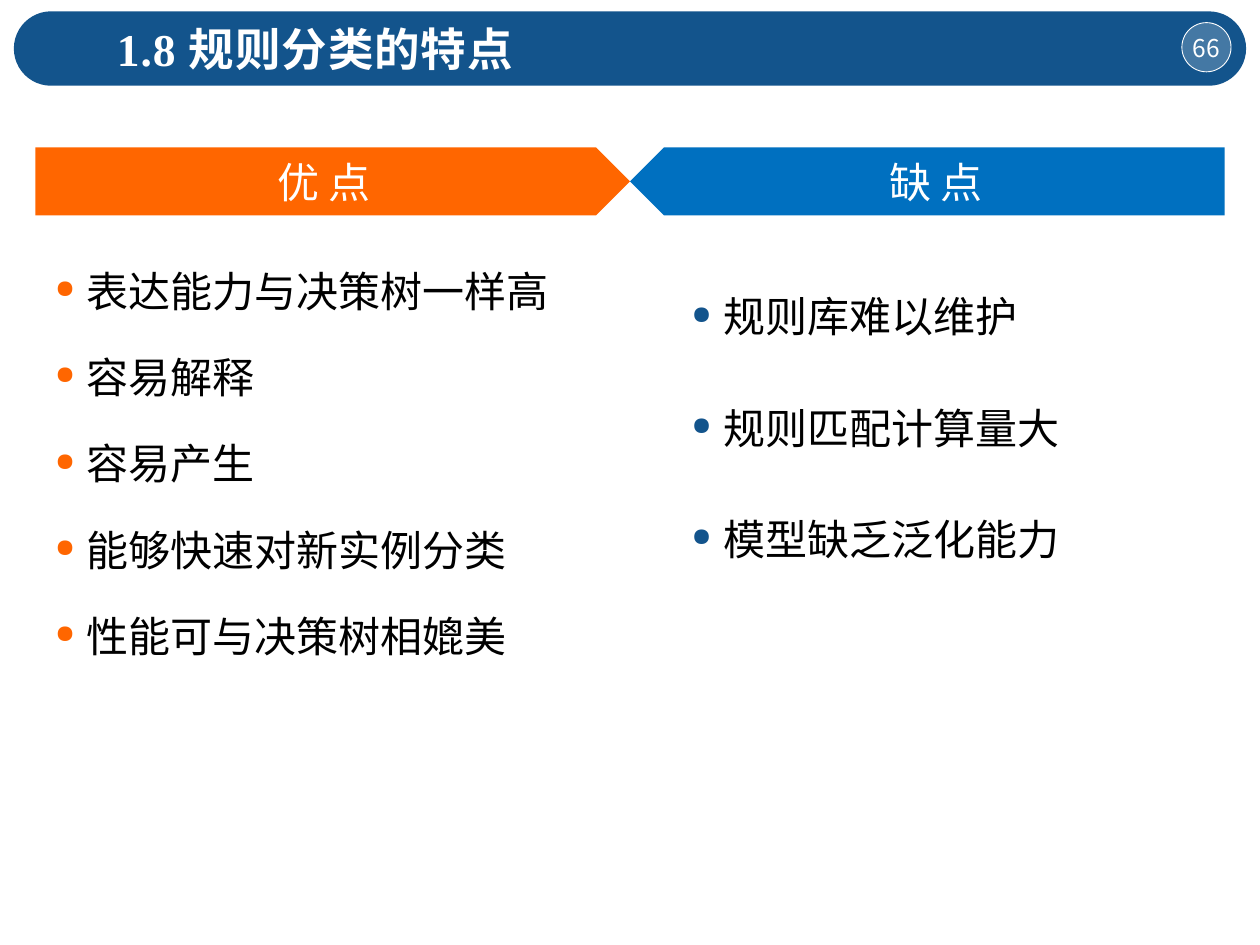
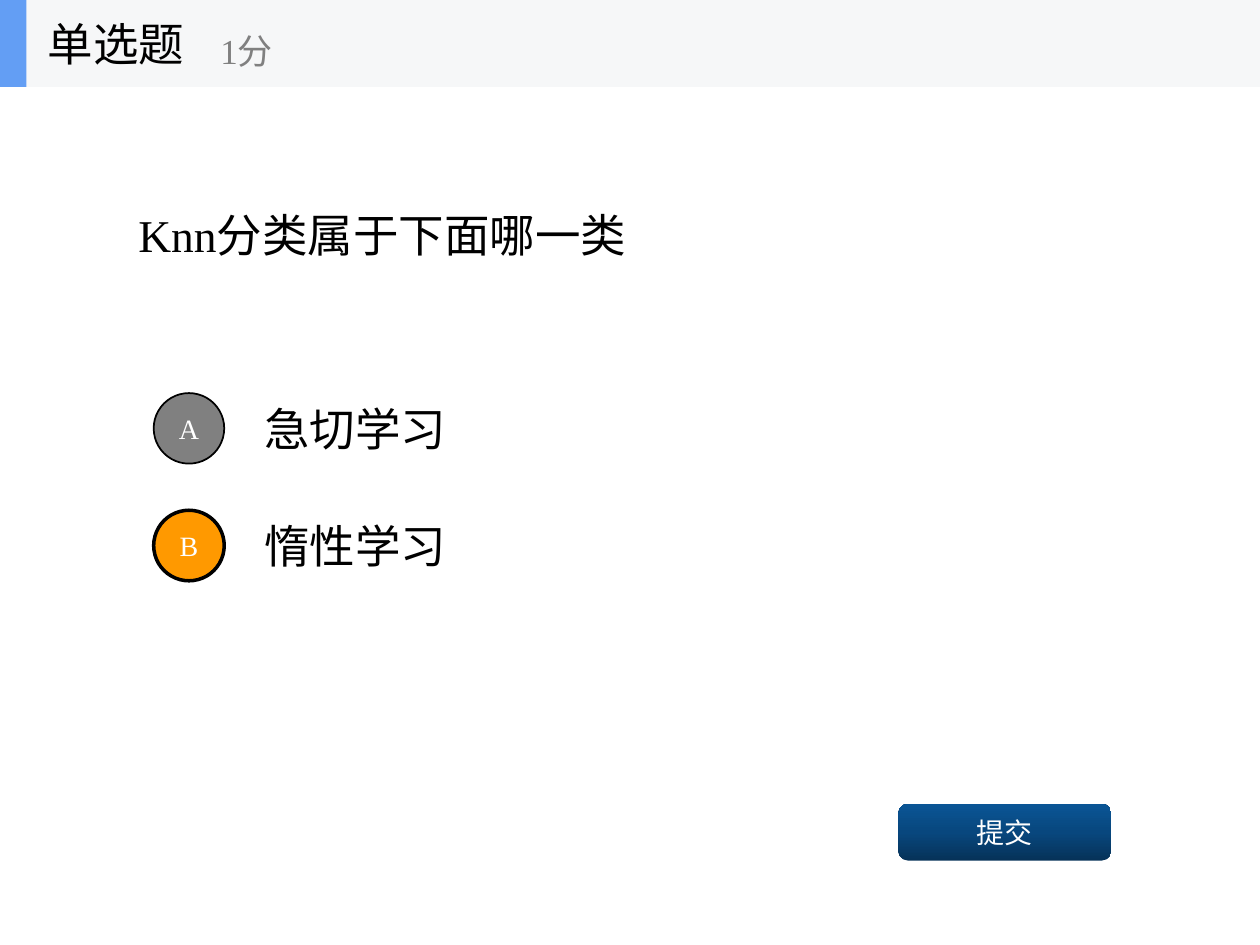
from copy import deepcopy

from pptx import Presentation as Deck
from pptx.dml.color import RGBColor as Rgb
from pptx.enum.shapes import MSO_SHAPE as Kind
from pptx.enum.text import MSO_ANCHOR as Anchor, PP_ALIGN as Align
from pptx.oxml.ns import qn
from pptx.util import Inches, Pt
from lxml.etree import SubElement as Sub

HUES = {
    "band": "13548C", "white": "FFFFFF", "black": "000000", "gray": "808080",
    "pro": "FF6600", "con": "0070C0", "pick": "FF9900",
    "strip": "F6F7F8", "edge": "639EF4",
    "dark": "063258", "mid": "08477E", "light": "0A5595",
}
SERIF, SANS = "Times New Roman", "Noto Sans CJK SC"
TITLE = {"size": Pt(26), "bold": True}
HEAD = {"size": Pt(26)}
BODY = {"size": Pt(24)}
SMALL = {"size": Pt(16)}


def rgb(hue):
    return Rgb.from_string(HUES[hue])


def style(font, form, hue, face=SERIF):
    for key, val in {"name": face, **form}.items():
        setattr(font, key, val)
    font.color.rgb = rgb(hue)


def setup(frame, anchor=Anchor.MIDDLE, wrap=True):
    for key, val in {"word_wrap": wrap, "vertical_anchor": anchor}.items():
        setattr(frame, key, val)


def shape(slide, kind, box, fill, line=None, width=1):
    """Flat shape, outlined only when a line colour is given."""
    item = slide.shapes.add_shape(kind, *map(Inches, box))
    item.shadow.inherit = False
    item.fill.solid()
    item.fill.fore_color.rgb = rgb(fill)
    if line:
        item.line.color.rgb = rgb(line)
        item.line.width = Pt(width)
    else:
        item.line.fill.background()
    return item


def label(item, text, form, hue="white", face=SERIF, wrap=False):
    """Centred words inside a shape."""
    setup(item.text_frame, wrap=wrap)
    par = item.text_frame.paragraphs[0]
    par.alignment = Align.CENTER
    run = par.add_run()
    run.text = text
    style(run.font, form, hue, face)


def words(slide, box, text, form, hue="black", anchor=Anchor.MIDDLE):
    item = slide.shapes.add_textbox(*map(Inches, box))
    setup(item.text_frame, anchor)
    run = item.text_frame.paragraphs[0].add_run()
    run.text = text
    style(run.font, form, hue)
    return run


def points(slide, box, lines, hue, pitch):
    """Bulleted list with coloured dots."""
    frame = slide.shapes.add_textbox(*map(Inches, box)).text_frame
    setup(frame, Anchor.TOP)
    for num, line in enumerate(lines):
        par = frame.add_paragraph() if num else frame.paragraphs[0]
        par.line_spacing = pitch
        par.space_before = Pt(6 if num else 0)
        props = par._p.get_or_add_pPr()
        props.set("marL", str(Inches(0.25)))
        props.set("indent", str(-Inches(0.25)))
        Sub(Sub(props, qn("a:buClr")), qn("a:srgbClr"), val=HUES[hue])
        Sub(props, qn("a:buSzPct"), val="60000")
        Sub(props, qn("a:buChar"), char="●")
        run = par.add_run()
        run.text = line
        style(run.font, BODY, "black")


def banner(slide, title, page):
    """Rounded title band with the page number in a disc."""
    band = shape(slide, Kind.ROUNDED_RECTANGLE, (0.11, 0.09, 9.78, 0.59), "band")
    band.adjustments[0] = 0.5
    disc = shape(slide, Kind.OVAL, (9.38, 0.18, 0.39, 0.39), "white", "white", 0.5)
    tint = disc._element.spPr.find(qn("a:solidFill"))[0]
    Sub(tint, qn("a:alpha"), val="21000")
    for side in ("left", "top", "right", "bottom"):
        setattr(disc.text_frame, "margin_" + side, 0)
    label(disc, page, {"size": Pt(14)}, face=SANS)
    run = words(slide, (0.83, 0.12, 8.08, 0.54), title, TITLE, "white", Anchor.TOP)
    run._r.get_or_add_rPr().set("spc", "50")


def arrow(slide, left, text, hue, flip=False):
    item = shape(slide, Kind.PENTAGON, (left, 1.17, 4.72, 0.54), hue)
    if flip:
        item._element.spPr.find(qn("a:xfrm")).set("flipH", "1")
    label(item, text, BODY, wrap=True)


def strip(slide, title, score):
    """Quiz heading: pale strip, blue edge, question type and score."""
    shape(slide, Kind.RECTANGLE, (0, 0, 10, 0.69), "strip")
    shape(slide, Kind.RECTANGLE, (0, 0, 0.21, 0.69), "edge")
    words(slide, (0.28, 0, 2.08, 0.69), title, HEAD)
    words(slide, (1.65, 0.12, 2.5, 0.56), score, {"size": Pt(20)}, "gray")


def choice(slide, num, mark, text, hue, width):
    top = 3.05 + 0.93 * num
    words(slide, (2, top, 7, 0.7), text, HEAD)
    disc = shape(slide, Kind.OVAL, (1.22, top + 0.07, 0.56, 0.56), hue, "black", width)
    label(disc, mark, SMALL)


def button(slide, text):
    """Rounded button, shaded from dark at the foot to light at the top."""
    item = shape(slide, Kind.ROUNDED_RECTANGLE, (7.13, 6.38, 1.69, 0.45), "dark")
    item.fill.gradient()
    item.fill.gradient_angle = 90
    stops = item._element.spPr.find(qn("a:gradFill")).find(qn("a:gsLst"))
    stops.insert(1, deepcopy(stops[0]))
    for stop, hue, spot in zip(item.fill.gradient_stops, ("dark", "mid", "light"), (0, 0.5, 1)):
        stop.color.rgb = rgb(hue)
        stop.position = spot
    label(item, text, SMALL)


def main():
    deck = Deck()
    deck.slide_width, deck.slide_height = Inches(10), Inches(7.5)
    blank = deck.slide_layouts[6]

    # Pros and cons
    slide = deck.slides.add_slide(blank)
    banner(slide, "1.8 规则分类的特点", "66")
    points(slide, (0.34, 1.86, 4.6, 3.4),
           ["表达能力与决策树一样高", "容易解释", "容易产生",
            "能够快速对新实例分类", "性能可与决策树相媲美"], "pro", 1.5)
    arrow(slide, 0.28, "优 点", "pro")
    arrow(slide, 5, "缺 点", "con", flip=True)
    points(slide, (5.39, 1.86, 3.62, 2.57),
           ["规则库难以维护", "规则匹配计算量大", "模型缺乏泛化能力"], "band", 2.0)

    # Quiz question
    slide = deck.slides.add_slide(blank)
    words(slide, (1, 0.69, 8, 2.34), "Knn分类属于下面哪一类", HEAD)
    choice(slide, 0, "A", "急切学习", "gray", 1)
    choice(slide, 1, "B", "惰性学习", "pick", 2)
    button(slide, "提交")
    strip(slide, "单选题", "1分")

    deck.save("out.pptx")


if __name__ == "__main__":
    main()
